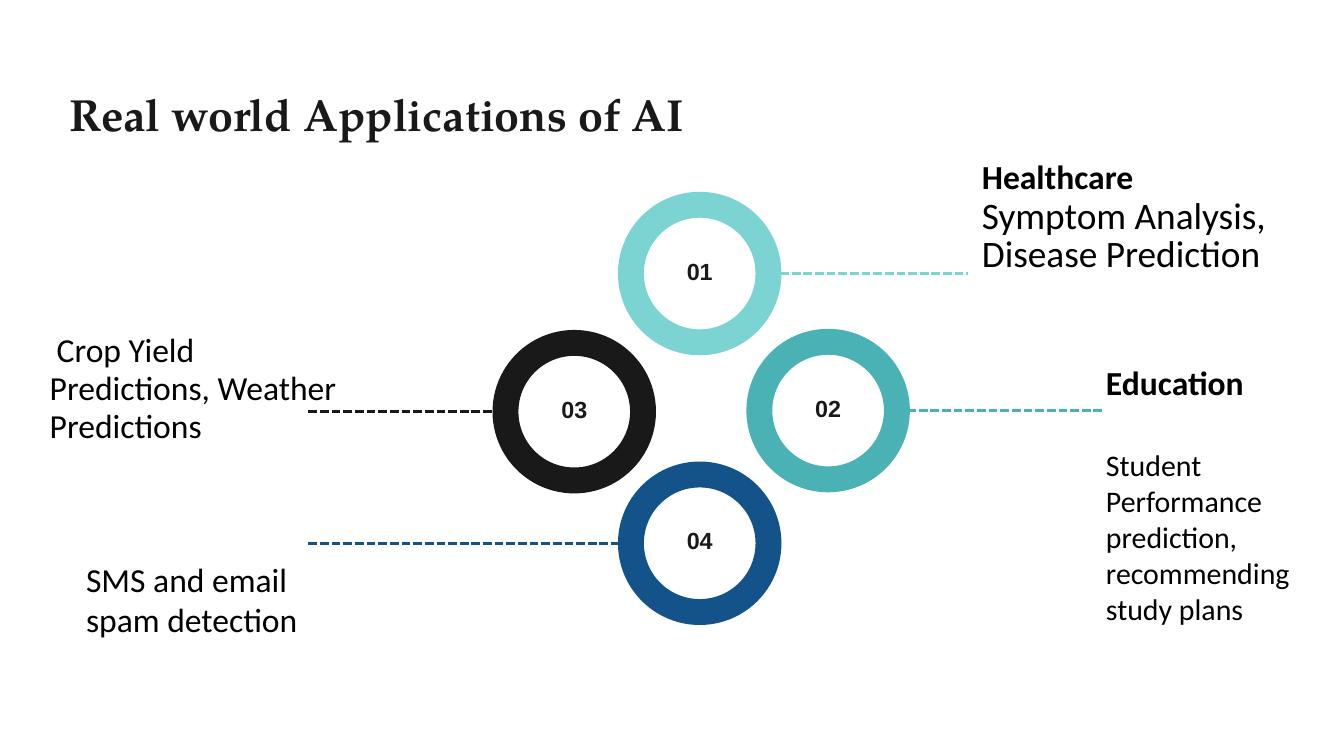
from lxml.etree import SubElement
from pptx import Presentation
from pptx.dml.color import RGBColor
from pptx.enum.dml import MSO_LINE
from pptx.enum.shapes import MSO_CONNECTOR, MSO_SHAPE
from pptx.enum.text import MSO_ANCHOR, MSO_AUTO_SIZE, PP_ALIGN
from pptx.oxml.ns import qn
from pptx.util import Pt

AQUA = RGBColor(0x7C, 0xD4, 0xD2)
TEAL = RGBColor(0x4A, 0xB1, 0xB4)
INK = RGBColor(0x19, 0x19, 0x19)
NAVY = RGBColor(0x13, 0x53, 0x8A)
WHITE = RGBColor(0xFF, 0xFF, 0xFF)
BLACK = RGBColor(0, 0, 0)

RING = 147.4
NUMBER_INSET = 13.9

deck = Presentation()
deck.slide_width, deck.slide_height = Pt(1440), Pt(810)
slide = deck.slides.add_slide(deck.slide_layouts[6])


def set_values(target, values):
    for name, value in values.items():
        setattr(target, name, value)


def add_text(box, runs, line_spacing, frame_format, align=PP_ALIGN.LEFT, margin=0):
    frame = slide.shapes.add_textbox(*map(Pt, box)).text_frame
    sides = ("margin_left", "margin_top", "margin_right", "margin_bottom")
    set_values(frame, dict.fromkeys(sides, Pt(margin)))
    set_values(frame, {"word_wrap": True, **frame_format})
    paragraph = frame.paragraphs[0]
    set_values(paragraph, {"alignment": align, "line_spacing": line_spacing})
    for wording, font_name, size, bold, color in runs:
        run = paragraph.add_run()
        run.text = wording
        set_values(run.font, {"name": font_name, "size": Pt(size), "bold": bold})
        run.font.color.rgb = color


applications = [
    ("01", 676, 219.4, AQUA, 823.4, 1036.8),
    ("02", 813.6, 366.2, TEAL, 972, 1182.2),
    ("03", 541.6, 367.4, INK, 330.5, 541.6),
    ("04", 676, 508.4, NAVY, 330.5, 676),
]

for number, left, top, color, start, end in applications:
    middle = Pt(top + RING / 2)
    leader = slide.shapes.add_connector(
        MSO_CONNECTOR.STRAIGHT, Pt(start), middle, Pt(end), middle)
    set_values(leader.line, {"width": Pt(3.13), "dash_style": MSO_LINE.SQUARE_DOT})
    leader.line.color.rgb = color
    SubElement(leader._element.spPr, qn("a:effectLst"))

for number, left, top, color, start, end in applications:
    ring = slide.shapes.add_shape(
        MSO_SHAPE.OVAL, Pt(left), Pt(top), Pt(RING), Pt(RING))
    ring.shadow.inherit = False
    ring.fill.solid()
    ring.fill.fore_color.rgb = WHITE
    ring.line.width = Pt(27.75)
    ring.line.color.rgb = color
    add_text((left + NUMBER_INSET, top, RING - 2 * NUMBER_INSET, 134),
             [(number, "Arial", 25, True, INK)], Pt(37.5),
             {"vertical_anchor": MSO_ANCHOR.MIDDLE}, PP_ALIGN.CENTER, 4.3)

labels = [
    ((1052, 213.8, 358.6, 80.6), "Symptom Analysis, Disease Prediction", 40, False, Pt(40.5)),
    ((1052, 164.9, 267, 43.2), "Healthcare", 36, True, Pt(45.3)),
    ((1185, 478.8, 255, 193.7), "Student Performance prediction, recommending study plans",
     32, False, None),
    ((1185, 385.2, 165, 43.2), "Education", 36, True, Pt(45.3)),
    ((92.2, 598.3, 269.3, 87.1), "SMS and email spam detection", 36, False, None),
]
growing = {"auto_size": MSO_AUTO_SIZE.SHAPE_TO_FIT_TEXT}
for box, wording, size, bold, spacing in labels:
    add_text(box, [(wording, "Calibri", size, bold, BLACK)], spacing, growing)

add_text((53.3, 355, 307.4, 121),
         [(" ", "Arial", 27, False, INK),
          ("Crop Yield Predictions, Weather Predictions", "Calibri", 36, False, BLACK)],
         Pt(40.5), growing)
add_text((-141.8, 38.9, 1090.8, 113),
         [("Real world Applications of AI", "TeX Gyre Pagella", 48, True, INK)],
         Pt(112), growing, PP_ALIGN.CENTER)

deck.save("out.pptx")
